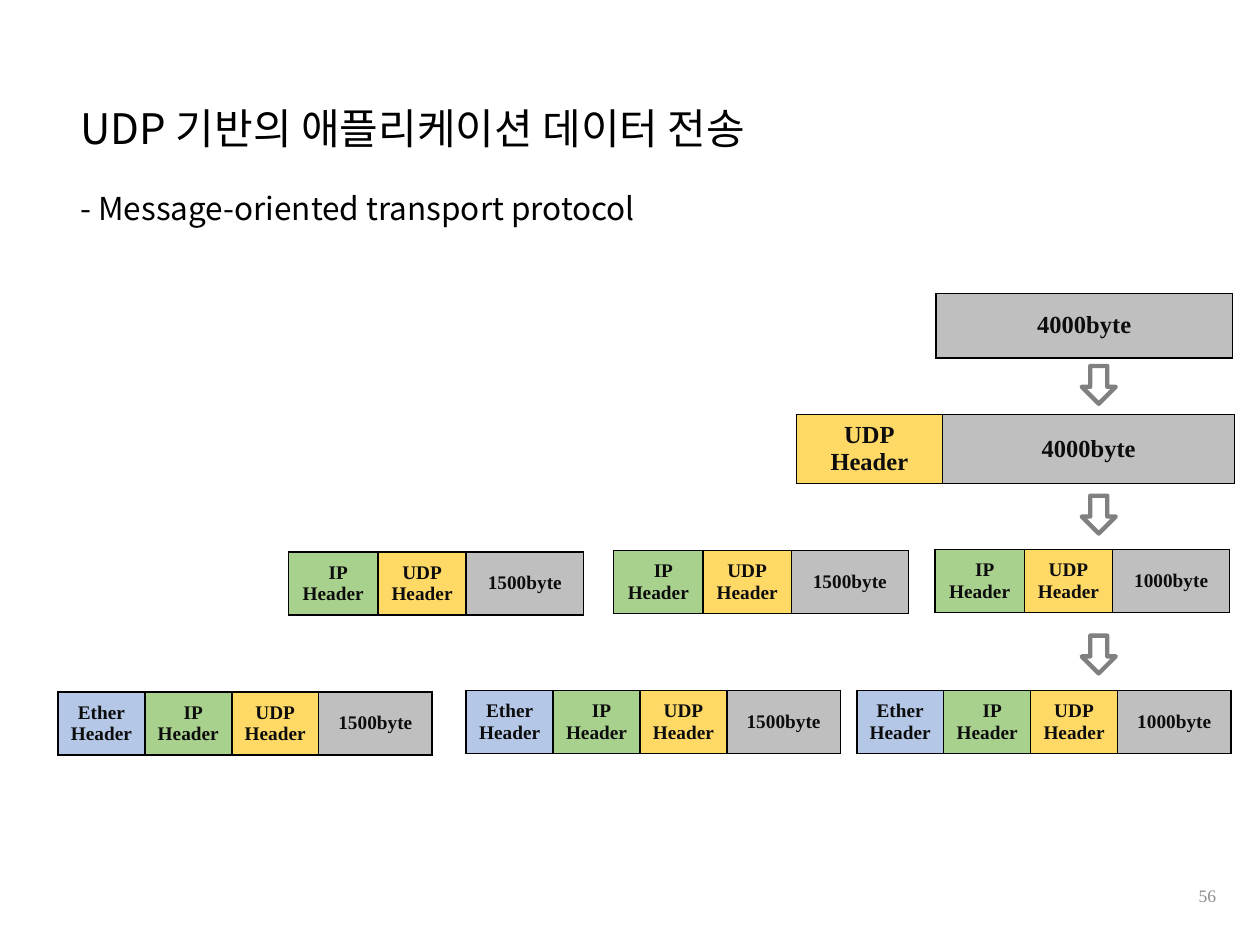
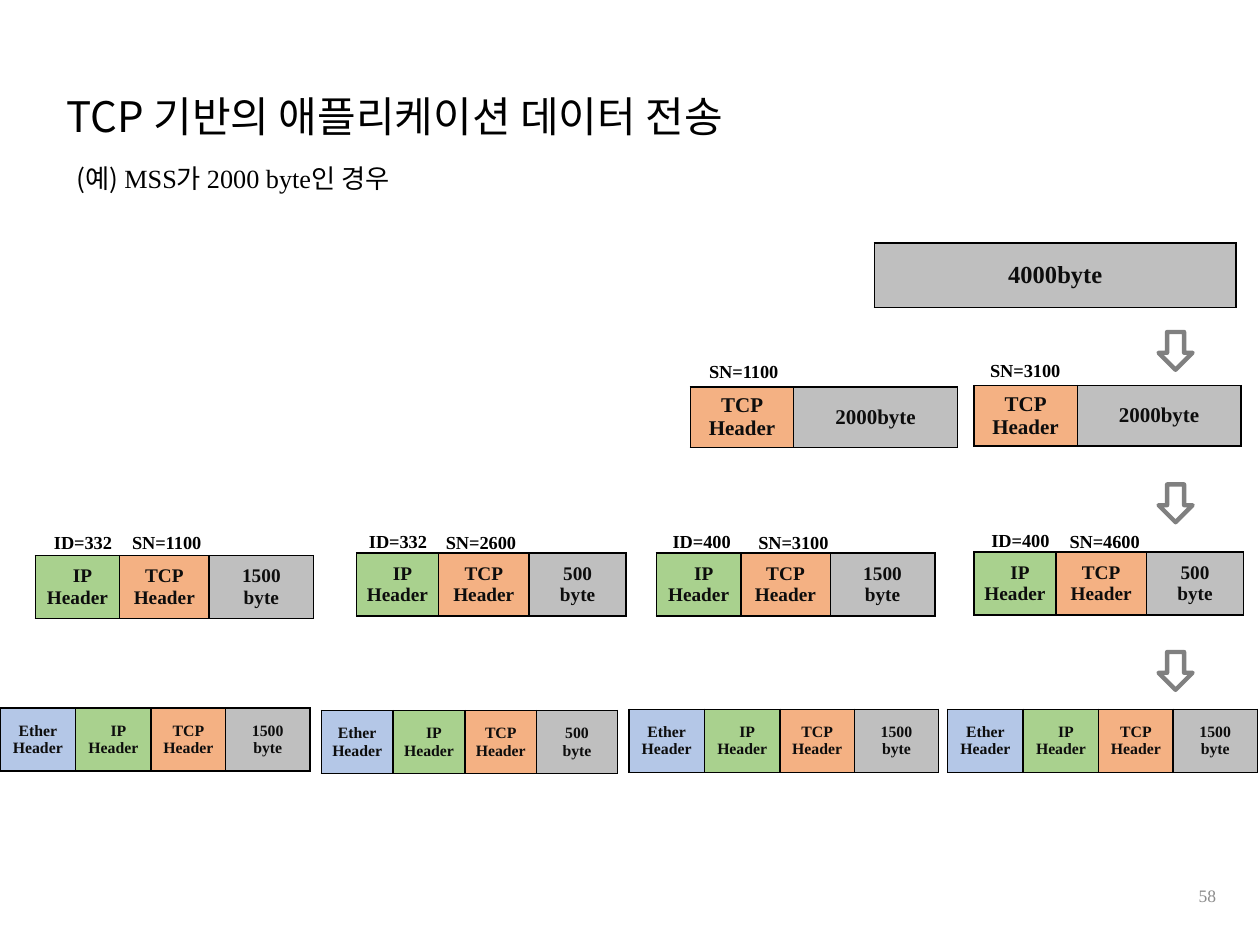
from dataclasses import dataclass

from lxml.etree import SubElement
from pptx import Presentation
from pptx.dml.color import RGBColor
from pptx.enum.shapes import MSO_SHAPE as Shape
from pptx.enum.text import MSO_ANCHOR as Anchor, PP_ALIGN as Align
from pptx.oxml.ns import qn
from pptx.util import Inches, Pt


@dataclass(frozen=True)
class Theme:
    korean: str = "Noto Sans CJK KR"
    serif: str = "Times New Roman"
    black: str = "000000"
    cell_text: str = "0D0D0D"
    number_text: str = "8C8C8C"
    arrow: str = "808080"
    payload: str = "BFBFBF"
    title_size: float = 24
    subtitle_size: float = 18
    example_size: float = 15
    label_size: float = 10.5
    number_size: float = 10
    arrow_line: float = 2.5
    border: float = 1


THEME = Theme()
HEADER_COLORS = {"Ether": "B4C7E7", "IP": "A9D18E", "UDP": "FFD966", "TCP": "F4B183"}
CELL_MARGINS = {"margin_left": 0.07, "margin_right": 0.07,
                "margin_top": 0.04, "margin_bottom": 0.04}
IP_INDENT = 0.08


# Text
def set_values(target, values):
    for name, value in values.items():
        setattr(target, name, value)


def add_run(paragraph, text, font_name, size, color, bold=False):
    run = paragraph.add_run()
    run.text = text
    run.font.color.rgb = RGBColor.from_string(color)
    set_values(run.font, {"name": font_name, "size": Pt(size), "bold": bold})
    SubElement(run.font._element, qn("a:ea"), typeface=font_name)


def add_text(slide, box, runs, size, color=THEME.black, bold=False,
             wrap=True, align=Align.LEFT, anchor=Anchor.TOP):
    shape = slide.shapes.add_textbox(*map(Inches, box))
    set_values(shape.text_frame, {"word_wrap": wrap, "vertical_anchor": anchor})
    paragraph = shape.text_frame.paragraphs[0]
    paragraph.alignment = align
    for text, font_name in runs:
        add_run(paragraph, text, font_name, size, color, bold)


def add_label(slide, left, top, width, text):
    add_text(slide, (left, top, width, 0.28), [(text, THEME.serif)],
             THEME.label_size, bold=True, wrap=False)


# Slide frame: title and number
def add_titled_slide(presentation, title, left, top, number):
    slide = presentation.slides.add_slide(presentation.slide_layouts[5])
    shape = slide.shapes.title
    set_values(shape, {"left": Inches(left), "top": Inches(top),
                       "width": Inches(5.92), "height": Inches(0.5)})
    set_values(shape.text_frame, {"word_wrap": False, "vertical_anchor": Anchor.TOP})
    paragraph = shape.text_frame.paragraphs[0]
    paragraph.alignment = Align.LEFT
    add_run(paragraph, title, THEME.korean, THEME.title_size, THEME.black)
    add_text(slide, (7.5, 6.91, 2.25, 0.4), [(str(number), THEME.serif)],
             THEME.number_size, THEME.number_text, align=Align.RIGHT,
             anchor=Anchor.MIDDLE)
    return slide


# Packets: one-row tables of headers followed by a payload
def add_borders(cell):
    properties = cell._tc.get_or_add_tcPr()
    for side in ("a:lnL", "a:lnR", "a:lnT", "a:lnB"):
        line = SubElement(properties, qn(side), w=str(Pt(THEME.border)))
        fill = SubElement(line, qn("a:solidFill"))
        SubElement(fill, qn("a:srgbClr"), val=THEME.black)


def fill_cell(cell, text, color, size):
    add_borders(cell)
    cell.fill.solid()
    cell.fill.fore_color.rgb = RGBColor.from_string(color)
    cell.vertical_anchor = Anchor.MIDDLE
    set_values(cell, {name: Inches(value) for name, value in CELL_MARGINS.items()})
    for index, line in enumerate(text.split("\n")):
        frame = cell.text_frame
        paragraph = frame.add_paragraph() if index else frame.paragraphs[0]
        paragraph.alignment = Align.CENTER
        if line == "IP":
            paragraph._p.get_or_add_pPr().set("indent", str(Inches(IP_INDENT)))
        add_run(paragraph, line, THEME.serif, size, THEME.cell_text, True)


def add_packet(slide, left, top, height, widths, headers, payload, size):
    frame = slide.shapes.add_table(1, len(widths), Inches(left), Inches(top),
                                   Inches(sum(widths)), Inches(height))
    table = frame.table
    set_values(table, {"first_row": False, "horz_banding": False})
    table.rows[0].height = Inches(height)
    for column, width in zip(table.columns, widths):
        column.width = Inches(width)
    contents = [(f"{name}\nHeader", HEADER_COLORS[name]) for name in headers]
    contents.append((payload, THEME.payload))
    for cell, (text, color) in zip(table.rows[0].cells, contents):
        fill_cell(cell, text, color, size)


def add_down_arrows(slide, left, tops):
    for top in tops:
        arrow = slide.shapes.add_shape(Shape.RIGHT_ARROW, Inches(left), Inches(top),
                                       Inches(0.3), Inches(0.27))
        arrow.rotation = 90
        arrow.shadow.inherit = False
        arrow.fill.background()
        arrow.line.color.rgb = RGBColor.from_string(THEME.arrow)
        arrow.line.width = Pt(THEME.arrow_line)


# Slides
def build_udp_slide(presentation):
    slide = add_titled_slide(presentation, "UDP 기반의 애플리케이션 데이터 전송",
                             0.54, 0.76, 56)
    add_text(slide, (0.54, 1.45, 4.63, 0.4),
             [("- Message-oriented transport protocol", THEME.korean)],
             THEME.subtitle_size, wrap=False)

    # Application message and UDP datagram
    add_packet(slide, 7.43, 2.33, 0.51, [2.35], [], "4000byte", 14)
    add_packet(slide, 6.32, 3.29, 0.54, [1.16, 2.32], ["UDP"], "4000byte", 14)

    # IP fragments and the frames that carry them
    payloads = ["1500byte", "1500byte", "1000byte"]
    fragments = [(2.29, 4.38), (4.87, 4.37), (7.42, 4.36)]
    frames = [(0.46, 5.49), (3.7, 5.48), (6.8, 5.48)]
    for payload, fragment, frame in zip(payloads, fragments, frames):
        add_packet(slide, *fragment, 0.5, [0.71, 0.7, 0.93], ["IP", "UDP"], payload, 11)
        add_packet(slide, *frame, 0.5, [0.69, 0.69, 0.69, 0.9],
                   ["Ether", "IP", "UDP"], payload, 11)

    add_down_arrows(slide, 8.57, [2.92, 3.95, 5.06])


def build_tcp_slide(presentation):
    slide = add_titled_slide(presentation, "TCP 기반의 애플리케이션 데이터 전송",
                             0.43, 0.67, 58)
    add_text(slide, (0.51, 1.24, 2.85, 0.35),
             [("(예) ", THEME.korean), ("MSS", THEME.serif), ("가 ", THEME.korean),
              ("2000 byte", THEME.serif), ("인 경우", THEME.korean)],
             THEME.example_size)

    # Application data and TCP segments
    add_packet(slide, 6.94, 1.93, 0.51, [2.87], [], "4000byte", 14)
    for left, top, label_left, sequence in [(5.48, 3.07, 5.53, 1100),
                                            (7.73, 3.06, 7.76, 3100)]:
        add_packet(slide, left, top, 0.47, [0.82, 1.3], ["TCP"], "2000byte", 12)
        add_label(slide, label_left, top - 0.26, 0.77, f"SN={sequence}")

    # IP fragments: packet place, payload, then left and top of each label
    wide, narrow = [0.67, 0.71, 0.83], [0.65, 0.72, 0.77]
    fragments = [
        (0.28, 4.41, wide, 1500, (332, 0.33, 4.17), (1100, 0.95, 4.17)),
        (2.83, 4.39, narrow, 500, (332, 2.83, 4.16), (2600, 3.44, 4.17)),
        (5.21, 4.39, wide, 1500, (400, 5.24, 4.16), (3100, 5.92, 4.17)),
        (7.73, 4.38, narrow, 500, (400, 7.77, 4.15), (4600, 8.39, 4.16)),
    ]
    for left, top, widths, size, identifier, sequence in fragments:
        add_packet(slide, left, top, 0.5, widths, ["IP", "TCP"], f"{size}\nbyte", 11)
        for prefix, width, label in [("ID", 0.67, identifier), ("SN", 0.77, sequence)]:
            value, label_left, label_top = label
            add_label(slide, label_left, label_top, width, f"{prefix}={value}")

    # Ethernet frames
    wide, narrow = [0.6, 0.6, 0.59, 0.67], [0.57, 0.57, 0.57, 0.64]
    frames = [(0, 5.62, wide, 1500), (2.55, 5.64, narrow, 500),
              (4.99, 5.63, wide, 1500), (7.52, 5.63, wide, 1500)]
    for left, top, widths, size in frames:
        add_packet(slide, left, top, 0.5, widths, ["Ether", "IP", "TCP"],
                   f"{size}\nbyte", 9)

    add_down_arrows(slide, 9.18, [2.65, 3.86, 5.19])


def main():
    presentation = Presentation()
    set_values(presentation, {"slide_width": Inches(10), "slide_height": Inches(7.5)})
    build_udp_slide(presentation)
    build_tcp_slide(presentation)
    presentation.save("out.pptx")


if __name__ == "__main__":
    main()
